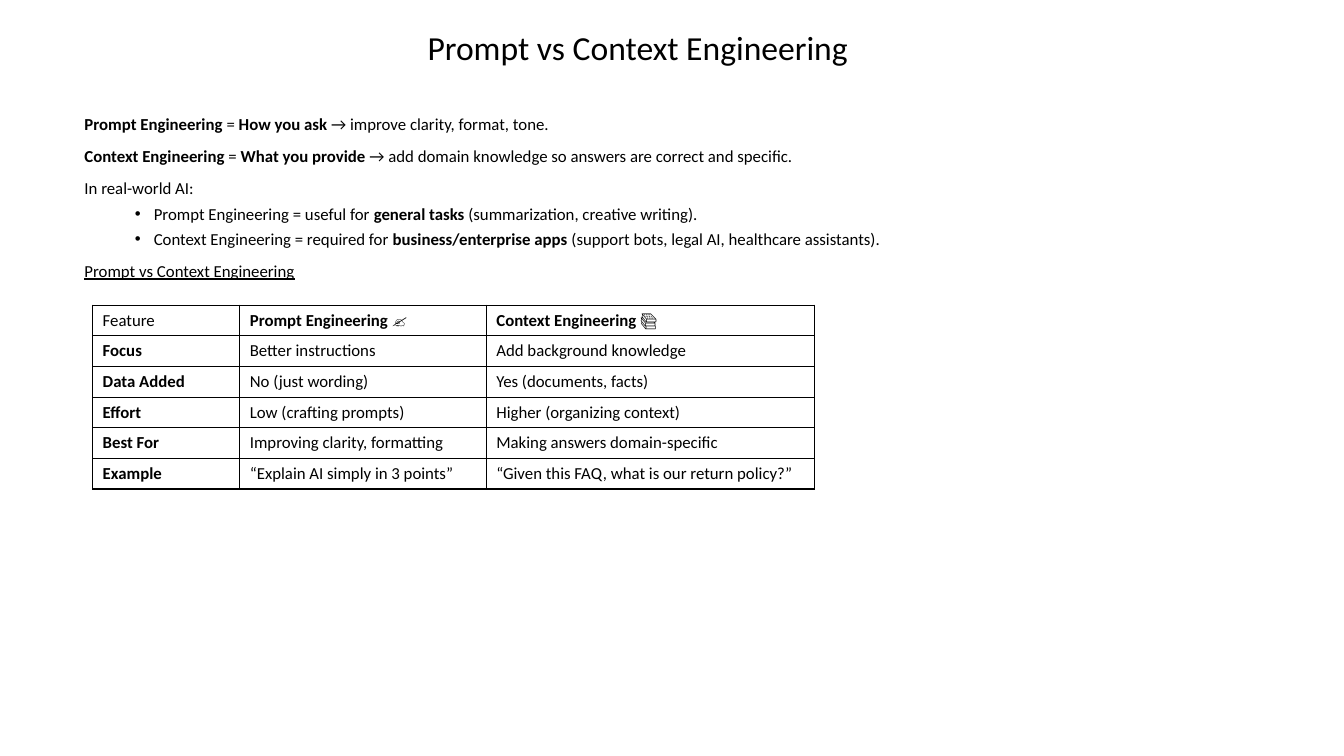
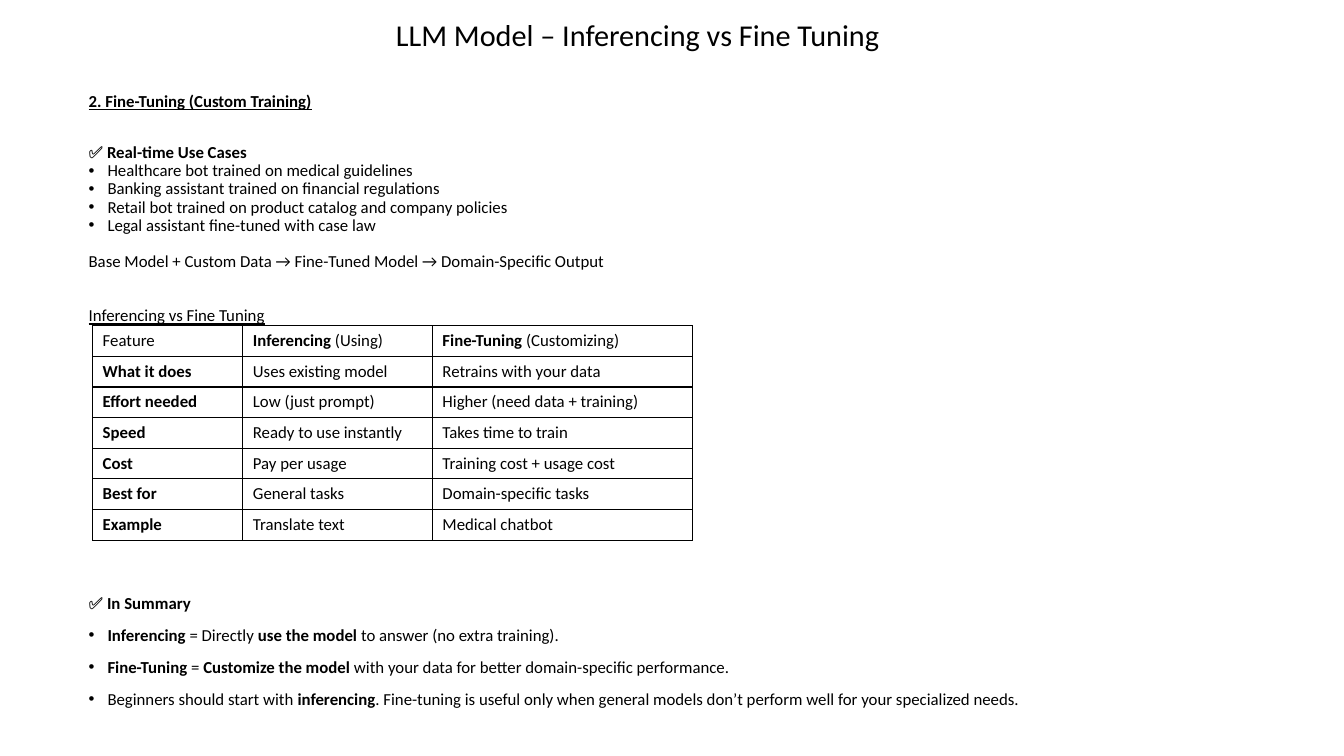
from dataclasses import dataclass

from lxml import etree
from pptx import Presentation
from pptx.dml.color import RGBColor
from pptx.enum.text import MSO_ANCHOR, MSO_AUTO_SIZE, PP_ALIGN
from pptx.oxml.ns import qn
from pptx.util import Pt

ANCHOR_BOTTOM = MSO_ANCHOR.BOTTOM
ANCHOR_MIDDLE = MSO_ANCHOR.MIDDLE
ALIGN_CENTER = PP_ALIGN.CENTER
NO_AUTOFIT = MSO_AUTO_SIZE.NONE
TITLE_ONLY = 5


@dataclass(frozen=True)
class Theme:
    font: str = "Calibri"
    ink: str = "000000"
    body_size: float = 12
    line_spacing: float = 0.9
    border_width: float = 1
    row_height: float = 21.9
    bullet_hang: float = 13.5


@dataclass(frozen=True)
class Line:
    """A paragraph; **marks** bold words, indent (if set) makes it a bullet."""
    text: str
    before: float = 10
    indent: float = 0
    underline: bool = False


class Deck:
    def __init__(self, theme):
        self.theme = theme
        self.presentation = Presentation()
        self.presentation.slide_width = Pt(960)
        self.presentation.slide_height = Pt(540)
        self.page = None

    def add_page(self, title, top, size):
        layout = self.presentation.slide_layouts[TITLE_ONLY]
        self.page = self.presentation.slides.add_slide(layout)
        box = self.page.shapes.title
        box.left, box.top, box.width, box.height = Pt(98.5), Pt(top), Pt(714), Pt(36)
        frame = box.text_frame
        frame.auto_size = NO_AUTOFIT
        frame.vertical_anchor = ANCHOR_BOTTOM
        para = frame.paragraphs[0]
        para.alignment = ALIGN_CENTER
        para.line_spacing = self.theme.line_spacing
        self.fill_para(para, title, size)

    def fill_para(self, para, text, size):
        """Fill a paragraph, setting the words between ** marks in bold."""
        para.font.name = self.theme.font
        para.font.size = Pt(size)
        para.font.color.rgb = RGBColor.from_string(self.theme.ink)
        for index, part in enumerate(text.split("**")):
            if part:
                span = para.add_run()
                span.text = part
                span.font.bold = index % 2 == 1

    def add_bullet(self, para, indent):
        properties = para._p.get_or_add_pPr()
        properties.set("marL", str(Pt(indent)))
        properties.set("indent", str(-Pt(self.theme.bullet_hang)))
        etree.SubElement(properties, qn("a:buFont"), typeface="Arial")
        etree.SubElement(properties, qn("a:buChar"), char="•")

    def add_text(self, left, top, width, height, lines):
        box = self.page.shapes.add_textbox(Pt(left), Pt(top), Pt(width), Pt(height))
        frame = box.text_frame
        frame.word_wrap = True
        for index, line in enumerate(lines):
            para = frame.add_paragraph() if index else frame.paragraphs[0]
            para.line_spacing = self.theme.line_spacing
            para.space_before = Pt(line.before if index else 0)
            if line.indent:
                self.add_bullet(para, line.indent)
            self.fill_para(para, line.text, self.theme.body_size)
            if line.underline:
                para.font.underline = True

    def add_border(self, cell):
        properties = cell._tc.get_or_add_tcPr()
        for side in ("lnL", "lnR", "lnT", "lnB"):
            edge = etree.SubElement(properties, qn(f"a:{side}"),
                                    w=str(Pt(self.theme.border_width)))
            fill = etree.SubElement(edge, qn("a:solidFill"))
            etree.SubElement(fill, qn("a:srgbClr"), val=self.theme.ink)

    def add_table(self, left, top, widths, rows):
        height = self.theme.row_height
        table = self.page.shapes.add_table(
            len(rows), len(widths), Pt(left), Pt(top),
            Pt(sum(widths)), Pt(height * len(rows))).table
        table.first_row = table.horz_banding = False
        for column, width in zip(table.columns, widths):
            column.width = Pt(width)
        for row, texts in zip(table.rows, rows):
            row.height = Pt(height)
            for cell, text in zip(row.cells, texts):
                self.add_border(cell)
                cell.fill.background()
                cell.vertical_anchor = ANCHOR_MIDDLE
                self.fill_para(cell.text_frame.paragraphs[0], text, self.theme.body_size)


def add_prompt_page(deck):
    deck.add_page("Prompt vs Context Engineering", 15.8, 24)
    deck.add_text(53.3, 79.4, 787, 130, [
        Line("**Prompt Engineering** = **How you ask** → improve clarity, format, tone."),
        Line("**Context Engineering** = **What you provide** → add domain knowledge "
             "so answers are correct and specific."),
        Line("In real-world AI:"),
        Line("Prompt Engineering = useful for **general tasks** "
             "(summarization, creative writing).", 5, 49.5),
        Line("Context Engineering = required for **business/enterprise apps** "
             "(support bots, legal AI, healthcare assistants).", 5, 49.5),
        Line("Prompt vs Context Engineering", underline=True),
    ])
    deck.add_table(66.2, 218, (105.1, 176.1, 234.2), [
        ("Feature", "**Prompt Engineering** ✍️", "**Context Engineering** 📚"),
        ("**Focus**", "Better instructions", "Add background knowledge"),
        ("**Data Added**", "No (just wording)", "Yes (documents, facts)"),
        ("**Effort**", "Low (crafting prompts)", "Higher (organizing context)"),
        ("**Best For**", "Improving clarity, formatting", "Making answers domain-specific"),
        ("**Example**", "“Explain AI simply in 3 points”",
         "“Given this FAQ, what is our return policy?”"),
    ])


def add_tuning_page(deck):
    deck.add_page("LLM Model – Inferencing vs Fine Tuning", 5.2, 21.6)
    hang = deck.theme.bullet_hang
    use_cases = (
        "Healthcare bot trained on medical guidelines",
        "Banking assistant trained on financial regulations",
        "Retail bot trained on product catalog and company policies",
        "Legal assistant fine-tuned with case law",
    )
    deck.add_text(56.2, 63, 862, 172, [
        Line("**2. Fine-Tuning (Custom Training)**", underline=True),
        Line("✅ **Real-time Use Cases**", 23.5),
        *(Line(text, 0, hang) for text in use_cases),
        Line("Base Model + Custom Data → Fine-Tuned Model → Domain-Specific Output", 12.9),
        Line("Inferencing vs Fine Tuning", 26, underline=True),
    ])
    deck.add_table(66.2, 232.6, (107.3, 135.4, 185.8), [
        ("Feature", "**Inferencing** (Using)", "**Fine-Tuning** (Customizing)"),
        ("**What it does**", "Uses existing model", "Retrains with your data"),
        ("**Effort needed**", "Low (just prompt)", "Higher (need data + training)"),
        ("**Speed**", "Ready to use instantly", "Takes time to train"),
        ("**Cost**", "Pay per usage", "Training cost + usage cost"),
        ("**Best for**", "General tasks", "Domain-specific tasks"),
        ("**Example**", "Translate text", "Medical chatbot"),
    ])
    deck.add_text(56.2, 421.2, 862, 92, [
        Line("**✅ In Summary**"),
        Line("**Inferencing** = Directly **use the model** to answer (no extra training).",
             indent=hang),
        Line("**Fine-Tuning** = **Customize the model** with your data for better "
             "domain-specific performance.", indent=hang),
        Line("Beginners should start with **inferencing**. Fine-tuning is useful only when "
             "general models don’t perform well for your specialized needs.", indent=hang),
    ])


def main():
    deck = Deck(Theme())
    add_prompt_page(deck)
    add_tuning_page(deck)
    deck.presentation.save("out.pptx")


if __name__ == "__main__":
    main()
